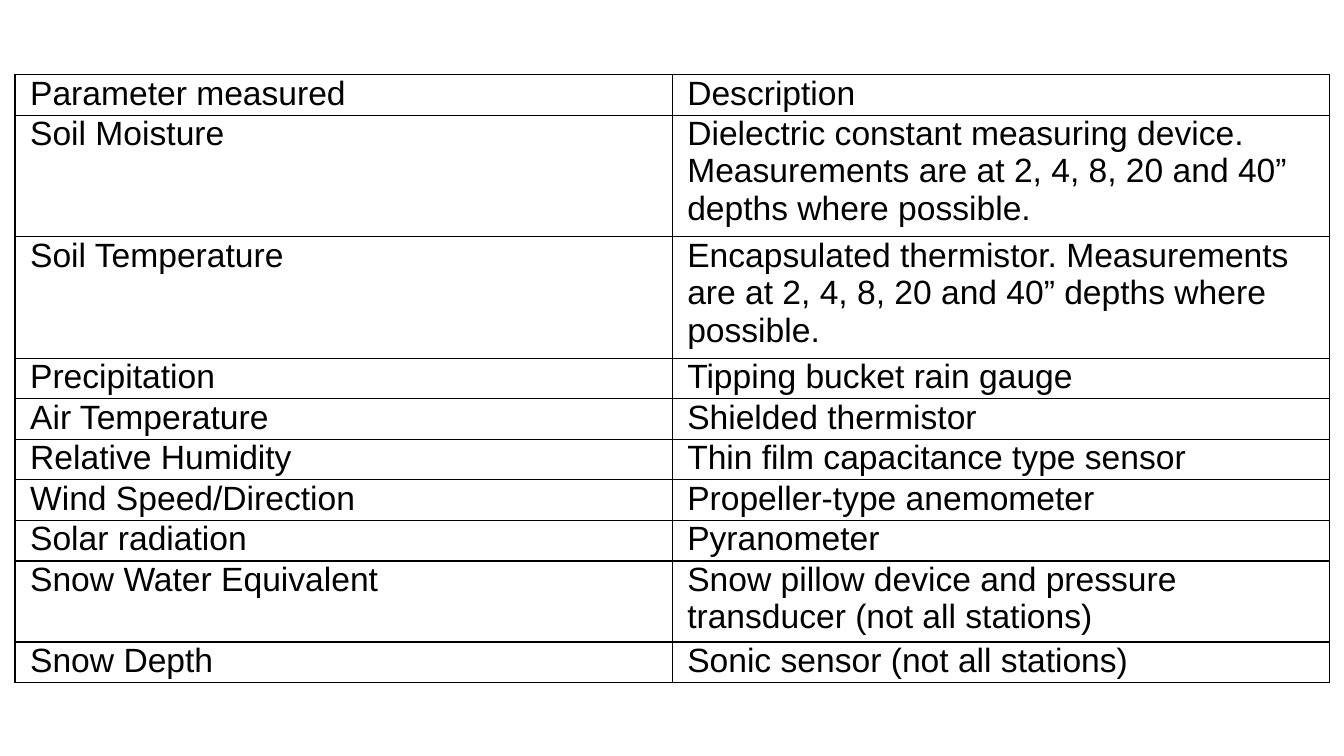
from dataclasses import dataclass

from lxml import etree
from pptx import Presentation
from pptx import util as u
from pptx.dml import color
from pptx.enum import text
from pptx.oxml import ns


@dataclass(frozen=True)
class Theme:
    font: str = "Arial"
    size: int = 24
    ink: str = "000000"
    border_width: int = 1


THEME = Theme()

SENSORS = [
    ("Parameter measured", "Description", 1),
    ("Soil Moisture", "Dielectric constant measuring device. Measurements are at "
     "2, 4, 8, 20 and 40” depths where possible.", 3),
    ("Soil Temperature", "Encapsulated thermistor. Measurements are at "
     "2, 4, 8, 20 and 40” depths where possible.", 3),
    ("Precipitation", "Tipping bucket rain gauge", 1),
    ("Air Temperature", "Shielded thermistor", 1),
    ("Relative Humidity", "Thin film capacitance type sensor", 1),
    ("Wind Speed/Direction", "Propeller-type anemometer", 1),
    ("Solar radiation", "Pyranometer", 1),
    ("Snow Water Equivalent", "Snow pillow device and pressure transducer "
     "(not all stations)", 2),
    ("Snow Depth", "Sonic sensor (not all stations)", 1),
]


def add_borders(cell):
    properties = cell._tc.get_or_add_tcPr()
    for position, side in enumerate(("lnL", "lnR", "lnT", "lnB")):
        line = etree.Element(ns.qn(f"a:{side}"), w=str(u.Pt(THEME.border_width)))
        fill = etree.SubElement(line, ns.qn("a:solidFill"))
        etree.SubElement(fill, ns.qn("a:srgbClr"), val=THEME.ink)
        properties.insert(position, line)


def format_cell(cell, wording):
    cell.fill.background()
    add_borders(cell)
    cell.margin_left = cell.margin_right = u.Cm(0.38)
    cell.margin_top = cell.margin_bottom = 0
    cell.vertical_anchor = text.MSO_ANCHOR.TOP
    cell.text_frame.text = wording
    font = cell.text_frame.paragraphs[0].runs[0].font
    font.name = THEME.font
    font.size = u.Pt(THEME.size)
    font.color.rgb = color.RGBColor.from_string(THEME.ink)


def add_sensor_table(slide, left, top, width, height):
    table = slide.shapes.add_table(len(SENSORS), 2, left, top, width, height).table
    table.first_row = table.horz_banding = False
    for column in table.columns:
        column.width = width // 2
    line_height = height // sum(lines for _, _, lines in SENSORS)
    for row, (parameter, description, lines) in zip(table.rows, SENSORS):
        row.height = line_height * lines
        for cell, wording in zip(row.cells, (parameter, description)):
            format_cell(cell, wording)


presentation = Presentation()
presentation.slide_width = u.Cm(33.87)
presentation.slide_height = u.Cm(19.05)
BLANK_LAYOUT = 6
slide = presentation.slides.add_slide(presentation.slide_layouts[BLANK_LAYOUT])
add_sensor_table(slide, u.Cm(0.38), u.Cm(1.88), u.Cm(33.12), u.Cm(15.32))
presentation.save("out.pptx")
